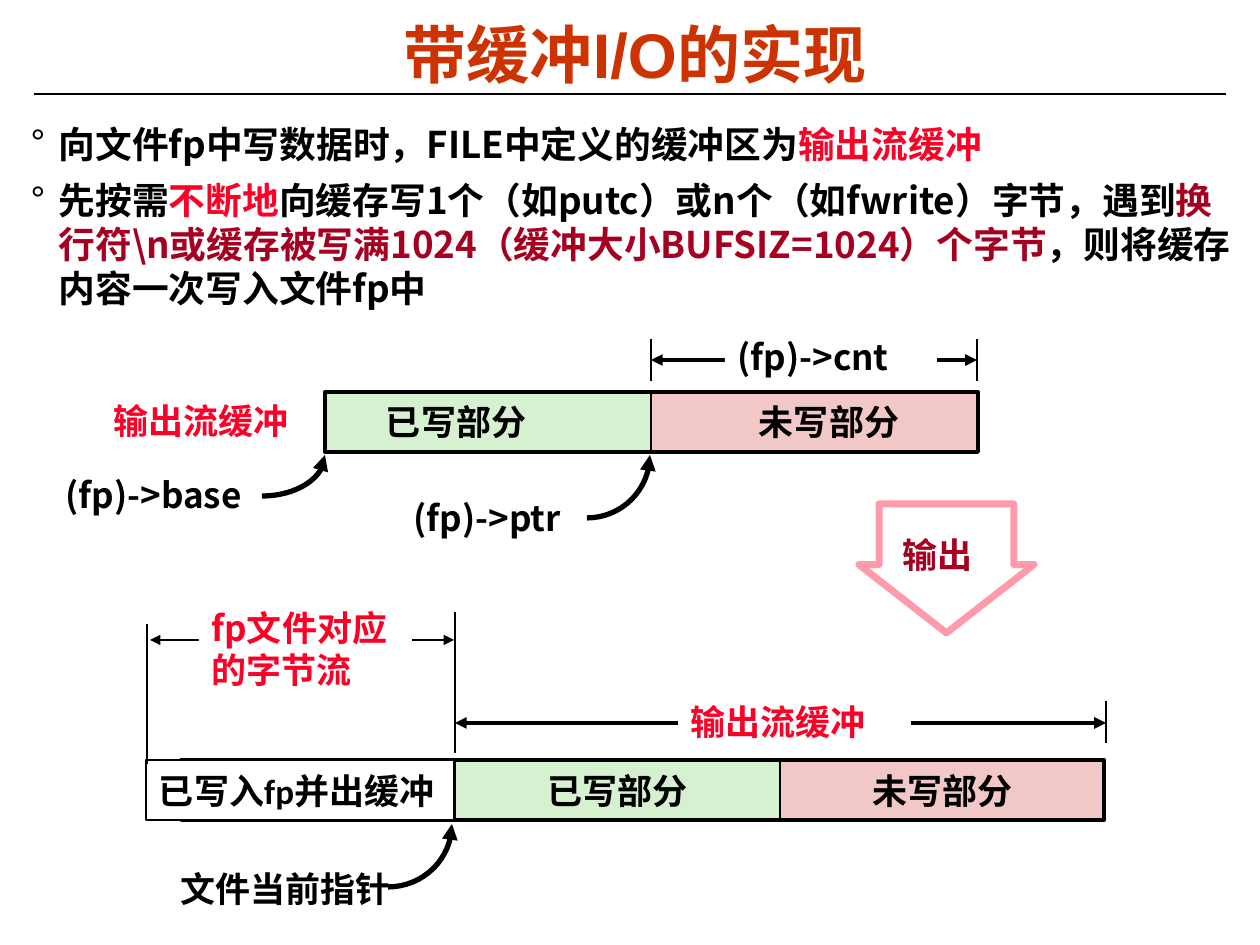
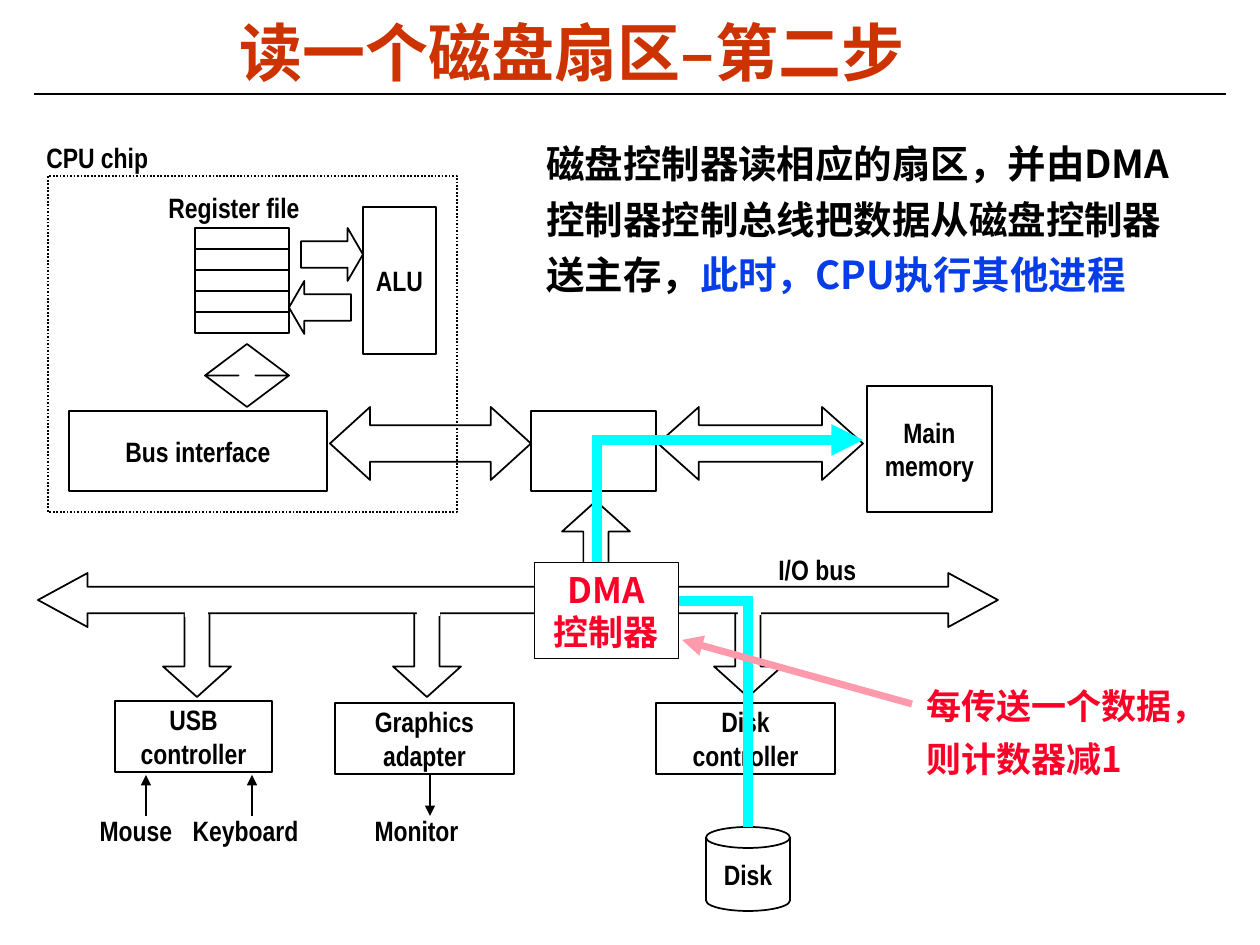
import math
from dataclasses import dataclass

from lxml import etree
from pptx import Presentation
from pptx import util as u
from pptx.dml.color import RGBColor
from pptx.enum import dml, shapes, text
from pptx.oxml.ns import qn

SHAPE = shapes.MSO_SHAPE
LEFT, CENTER, RIGHT = text.PP_ALIGN.LEFT, text.PP_ALIGN.CENTER, text.PP_ALIGN.RIGHT
TOP, MIDDLE = text.MSO_ANCHOR.TOP, text.MSO_ANCHOR.MIDDLE
PX = 914400 / 126


def px(length):
    return u.Emu(round(length * PX))


@dataclass(frozen=True)
class Theme:
    black: str = "000000"
    white: str = "FFFFFF"
    title: str = "CC3300"
    red: str = "FC0128"
    maroon: str = "A50021"
    blue: str = "063DE8"
    pink: str = "FE9AAB"
    cyan: str = "00FFFF"
    written: str = "D5F1CF"
    unwritten: str = "F1C7C7"
    cjk: str = "Noto Sans CJK SC"
    calibri: str = "Calibri"
    arial: str = "Arial"
    narrow: str = "Arial Narrow"
    title_size: int = 36
    note_size: int = 22
    body_size: int = 21
    label_size: int = 20
    diagram_size: int = 16
    line_height: float = 1.2


THEME = Theme()


class Deck:
    """Holds the theme and the current slide; one method for each kind of element."""

    def __init__(self, theme):
        self.theme = theme
        self.presentation = Presentation()
        self.presentation.slide_width = px(1260)
        self.presentation.slide_height = px(945)
        self.slide = None

    # Slide with its title and the rule below it
    def new_slide(self, layout, title, box, font):
        theme = self.theme
        self.slide = self.presentation.slides.add_slide(
            self.presentation.slide_layouts[layout])
        self.line((34, 94), (1226, 94), weight=1.5)
        shape = self.slide.shapes.title
        self.place(shape, box)
        self.set_text(shape, [title], theme.title_size, theme.title, font, CENTER, MIDDLE,
                      spacing=0.87)

    def place(self, shape, box):
        shape.left, shape.top, shape.width, shape.height = map(px, box)

    # Text: each paragraph is a string or a list of (string, colour) runs
    def set_text(self, shape, paragraphs, size, color=THEME.black, font=THEME.cjk,
                 align=LEFT, anchor=TOP, spacing=None, wrap=True, bullet=None):
        frame = shape.text_frame
        frame.word_wrap = wrap
        frame.auto_size = text.MSO_AUTO_SIZE.NONE
        frame.vertical_anchor = anchor
        for index, runs in enumerate(paragraphs):
            paragraph = frame.add_paragraph() if index else frame.paragraphs[0]
            if bullet:
                self.add_bullet(paragraph, bullet)
                paragraph.space_before = u.Pt(7 if index else 0)
            paragraph.alignment = align
            if spacing:
                paragraph.line_spacing = spacing
            if isinstance(runs, str):
                runs = [(runs, None)]
            for content, run_color in runs:
                run = paragraph.add_run()
                run.text = content
                if run_color:
                    run.font.color.rgb = RGBColor.from_string(run_color)
            paragraph.font.size = u.Pt(size)
            paragraph.font.bold = True
            paragraph.font.color.rgb = RGBColor.from_string(color)
            paragraph.font.name = font
            properties = paragraph._p.pPr.find(qn("a:defRPr"))
            etree.SubElement(properties, qn("a:ea"), typeface=self.theme.cjk)

    def add_bullet(self, paragraph, character):
        properties = paragraph._p.get_or_add_pPr()
        properties.set("marL", str(px(28)))
        properties.set("indent", str(-px(28)))
        etree.SubElement(properties, qn("a:buChar"), char=character)

    def leading(self, size, factor=1):
        return u.Pt(round(size * self.theme.line_height * factor, 1))

    def bullets(self, box, paragraphs):
        shape = self.slide.placeholders[1]
        self.place(shape, box)
        size = self.theme.body_size
        self.set_text(shape, paragraphs, size, spacing=self.leading(size), bullet="°")

    # Preset shape
    def shape(self, kind, box, fill=None, line=THEME.black, weight=1, adjust=()):
        shape = self.slide.shapes.add_shape(kind, *map(px, box))
        shape.shadow.inherit = False
        for index, value in enumerate(adjust):
            shape.adjustments[index] = value
        if fill:
            shape.fill.solid()
            shape.fill.fore_color.rgb = RGBColor.from_string(fill)
        else:
            shape.fill.background()
        if line:
            shape.line.color.rgb = RGBColor.from_string(line)
            shape.line.width = u.Pt(weight)
        else:
            shape.line.fill.background()
        return shape

    # Chinese label, on a white patch when it interrupts a line
    def label(self, box, paragraphs, color=THEME.black, font=THEME.cjk, align=LEFT,
              size=THEME.label_size, factor=1, patch=False):
        if patch:
            shape = self.shape(SHAPE.RECTANGLE, box, self.theme.white, None)
        else:
            shape = self.slide.shapes.add_textbox(*map(px, box))
        self.set_text(shape, paragraphs, size, color, font, align,
                      spacing=self.leading(size, factor))

    # One part of a buffer bar
    def segment(self, box, content, fill, align=CENTER, inset=13, font=THEME.calibri):
        shape = self.shape(SHAPE.RECTANGLE, box, fill, weight=1.5)
        size = self.theme.label_size
        self.set_text(shape, [content], size, font=font, align=align, anchor=MIDDLE,
                      spacing=self.leading(size), wrap=False)
        shape.text_frame.margin_left = px(inset)

    # Block with a narrow caption in the diagram
    def block(self, box, *lines, kind=SHAPE.RECTANGLE):
        shape = self.shape(kind, box)
        self.set_text(shape, lines, self.theme.diagram_size, font=self.theme.narrow,
                      align=CENTER, anchor=MIDDLE, wrap=False)

    def caption(self, box, content, align=CENTER):
        shape = self.slide.shapes.add_textbox(*map(px, box))
        self.set_text(shape, [content], self.theme.diagram_size, font=self.theme.narrow,
                      align=align, anchor=MIDDLE, wrap=False)

    # Lines and arrows
    def line(self, start, end, color=THEME.black, weight=1.0, heads=()):
        connector = self.slide.shapes.add_connector(
            shapes.MSO_CONNECTOR.STRAIGHT, *map(px, (*start, *end)))
        connector.line.color.rgb = RGBColor.from_string(color)
        connector.line.width = u.Pt(weight)
        etree.SubElement(connector._element.spPr, qn("a:effectLst"))
        self.add_heads(connector, heads)

    def add_heads(self, shape, heads):
        outline = shape._element.spPr.find(qn("a:ln"))
        for end in heads:
            etree.SubElement(outline, qn(f"a:{end}"), type="triangle")

    def span(self, left, right, y, weight=2.25):
        self.line((left, y), (right, y), weight=weight, heads=("headEnd", "tailEnd"))

    def ticks(self, columns, top, bottom):
        for x in columns:
            self.line((x, bottom), (x, top), weight=1.5)

    # Quarter-ellipse pointer whose arrowhead is at the tip
    def pointer(self, tip, tail, steps=16):
        (tip_x, tip_y), (tail_x, tail_y) = tip, tail
        angles = [math.pi / 2 * step / steps for step in range(1, steps + 1)]
        points = [(px(tail_x + (tip_x - tail_x) * math.cos(angle)),
                   px(tip_y + (tail_y - tip_y) * math.sin(angle))) for angle in angles]
        builder = self.slide.shapes.build_freeform(px(tip_x), px(tip_y))
        builder.add_line_segments(points, close=False)
        curve = builder.convert_to_shape()
        curve.shadow.inherit = False
        curve.fill.background()
        curve.line.color.rgb = RGBColor.from_string(self.theme.black)
        curve.line.width = u.Pt(3)
        self.add_heads(curve, ["headEnd"])


def buffered_output(deck):
    theme = deck.theme
    deck.new_slide(1, "带缓冲I/O的实现", (112, 20, 1046, 78), theme.arial)
    deck.bullets((18, 115, 1226, 205), [
        [("向文件fp中写数据时，FILE中定义的缓冲区为", None), ("输出流缓冲", theme.red)],
        [("先按需", None), ("不断地", theme.red),
         ("向缓存写1个（如putc）或n个（如fwrite）字节，遇到", None),
         ("换行符\\n或缓存被写满1024（缓冲大小BUFSIZ=1024）个字节", theme.maroon),
         ("，则将缓存内容一次写入文件fp中", None)],
    ])

    # Output buffer in memory
    deck.segment((651, 392, 326, 60), "未写部分", theme.unwritten, LEFT, 108)
    deck.segment((325, 392, 326, 60), "已写部分", theme.written, LEFT, 61)
    deck.shape(SHAPE.RECTANGLE, (325, 392, 653, 60), weight=2.25)
    deck.label((101, 393, 222, 54), ["输出流缓冲"], theme.red, theme.calibri)
    deck.pointer((325, 455), (262, 496))
    deck.pointer((650, 455), (587, 518))
    deck.label((53, 467, 237, 54), ["(fp)->base"])
    deck.label((401, 490, 203, 54), ["(fp)->ptr"])
    deck.ticks((651, 977), 339, 381)
    deck.span(651, 977, 360)
    deck.label((725, 329, 212, 54), ["(fp)->cnt"], patch=True)

    # File byte stream followed by the buffer
    deck.segment((780, 760, 325, 60), "未写部分", theme.unwritten)
    deck.segment((455, 760, 325, 60), "已写部分", theme.written, font=theme.cjk)
    deck.shape(SHAPE.RECTANGLE, (181, 760, 923, 60), weight=2.25)
    deck.segment((146, 760, 308, 60), "已写入fp并出缓冲", theme.white, LEFT)
    deck.pointer((452, 824), (388, 887))
    deck.label((156, 861, 247, 54), ["文件当前指针"], font=theme.calibri, align=RIGHT)
    deck.ticks((455, 1106), 701, 743)
    deck.span(455, 1106, 723)
    deck.label((678, 694, 233, 54), ["输出流缓冲"], theme.red, theme.calibri, patch=True)
    deck.ticks([455], 612, 753)
    deck.ticks([147], 624, 764)
    deck.span(150, 454, 640, weight=1.5)
    deck.label((199, 600, 213, 97), ["fp文件对应的字节流"], theme.red, patch=True)

    # Output step
    deck.shape(SHAPE.DOWN_ARROW, (859, 504, 175, 129), line=theme.pink, weight=4,
               adjust=(0.77, 0.53))
    deck.label((890, 527, 96, 54), ["输出"], theme.maroon)


def disk_sector(deck):
    theme = deck.theme
    deck.new_slide(5, "读一个磁盘扇区–第二步", (49, 18, 1046, 78), theme.cjk)

    # Memory and bridge
    deck.block((867, 386, 125, 126), "Main", "memory")
    deck.shape(SHAPE.LEFT_RIGHT_ARROW, (658, 407, 205, 73), adjust=(0.5, 0.56))
    deck.shape(SHAPE.RECTANGLE, (531, 411, 125, 80))
    deck.shape(SHAPE.LEFT_RIGHT_ARROW, (330, 407, 201, 73), adjust=(0.5, 0.55))

    # CPU chip
    for row in range(5):
        deck.shape(SHAPE.RECTANGLE, (195, 228 + 21 * row, 94, 21))
    deck.shape(SHAPE.RIGHT_ARROW, (301, 228, 62, 53), adjust=(0.5, 0.29))
    deck.shape(SHAPE.LEFT_ARROW, (289, 281, 62, 53), adjust=(0.5, 0.29))
    deck.block((363, 207, 73, 147), "ALU")
    deck.caption((156, 184, 156, 47), "Register file")
    deck.shape(SHAPE.UP_DOWN_ARROW, (205, 344, 84, 63), adjust=(0.5, 0.2))
    chip = deck.shape(SHAPE.RECTANGLE, (48, 176, 409, 336))
    chip.line.dash_style = dml.MSO_LINE.ROUND_DOT
    deck.caption((34, 134, 127, 47), "CPU chip", LEFT)

    # Bus branches and controllers
    branch = (0.37, 0.45)
    deck.shape(SHAPE.UP_ARROW, (562, 501, 68, 95), adjust=branch)
    for x in (714, 393, 163):
        deck.shape(SHAPE.DOWN_ARROW, (x, 602, 68, 95), adjust=branch)
    deck.block((656, 703, 179, 71), "Disk", "controller")
    deck.block((335, 703, 179, 71), "Graphics", "adapter")
    deck.block((115, 701, 157, 71), "USB", "controller")

    # Devices
    for x, head in ((146, "headEnd"), (252, "headEnd"), (430, "tailEnd")):
        deck.line((x, 775), (x, 816), heads=[head])
    deck.caption((87, 807, 98, 47), "Mouse")
    deck.caption((180, 807, 131, 47), "Keyboard")
    deck.caption((362, 807, 109, 47), "Monitor")
    deck.block((706, 827, 84, 84), "Disk", kind=SHAPE.CAN)

    # I/O bus, opened where the branches leave it
    deck.shape(SHAPE.LEFT_RIGHT_ARROW, (38, 573, 960, 54), theme.white,
               adjust=(0.49, 0.92))
    for x, y in ((185, 596), (417, 595), (738, 594)):
        deck.shape(SHAPE.RECTANGLE, (x, y, 23, 21), theme.white, None)
    deck.caption((766, 546, 103, 47), "I/O bus", LEFT)

    # Data path from disk to memory
    deck.line((592, 440), (863, 440), theme.cyan, 6, ["tailEnd"])
    for start, end in (((597, 440), (597, 596)), ((592, 601), (747, 601)),
                       ((748, 596), (748, 827))):
        deck.line(start, end, theme.cyan, 6)
    deck.block((69, 411, 258, 80), "Bus interface")

    # Explanation and DMA controller
    deck.label((534, 125, 675, 179), [[
        ("磁盘控制器读相应的扇区，并由DMA控制器控制总线把数据从磁盘控制器送主存，", None),
        ("此时，CPU执行其他进程", theme.blue)]], size=theme.note_size, factor=1.2)
    size = theme.label_size
    controller = deck.shape(SHAPE.RECTANGLE, (534, 562, 144, 97), theme.white, weight=0.5)
    deck.set_text(controller, ["DMA", "控制器"], size, theme.red, align=CENTER,
                  spacing=deck.leading(size))
    deck.label((914, 668, 272, 117), ["每传送一个数据，则计数器减1"], theme.red, factor=1.25)
    deck.line((912, 704), (682, 640), theme.pink, 4, ["tailEnd"])


def main():
    deck = Deck(THEME)
    buffered_output(deck)
    disk_sector(deck)
    deck.presentation.save("out.pptx")


if __name__ == "__main__":
    main()
